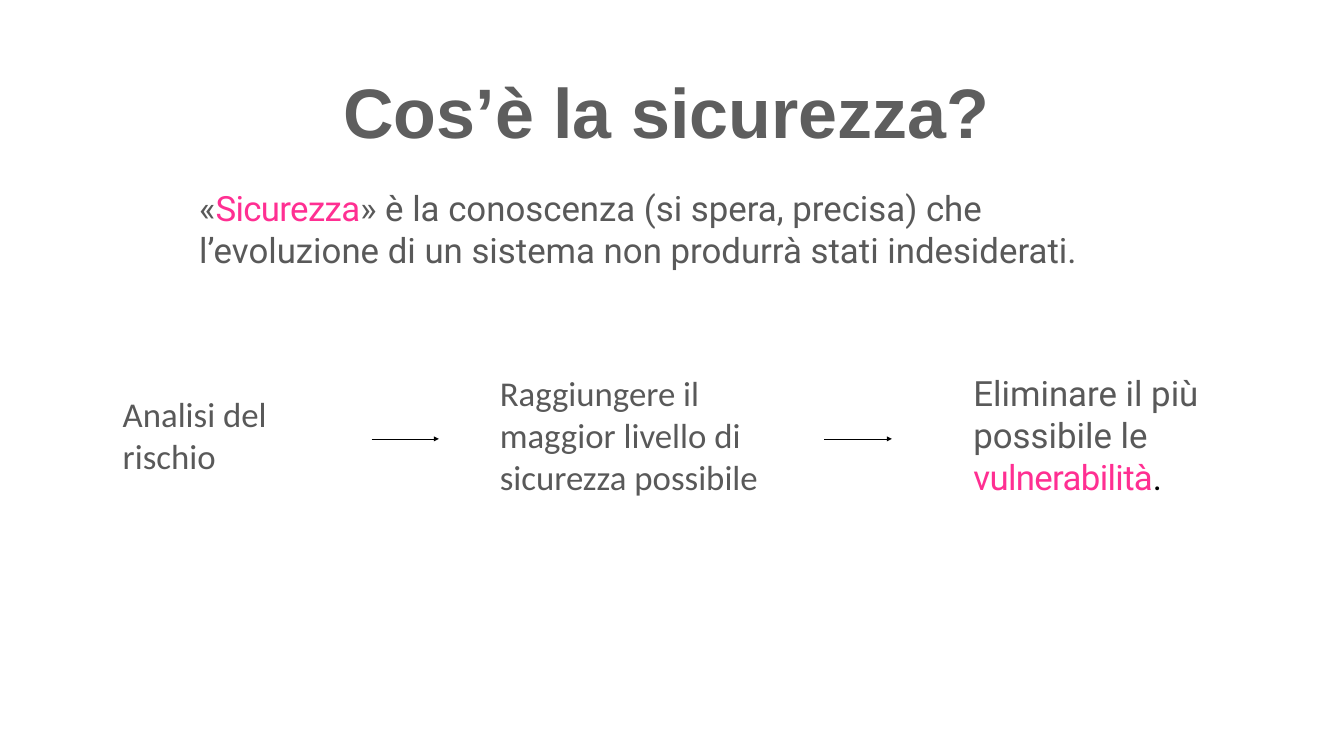
import pptx
import pptx.util
import pptx.dml.color
import pptx.enum.shapes
import pptx.enum.text
import pptx.oxml.ns
import lxml.etree

Cm = pptx.util.Cm
Pt = pptx.util.Pt
RGB = pptx.dml.color.RGBColor
DARK = RGB(0x5E, 0x5E, 0x5E)
GREY = RGB(0x59, 0x59, 0x59)
PINK = RGB(0xFF, 0x2F, 0x92)
BLACK = RGB(0, 0, 0)


def apply(item, values):
    for key, value in values.items():
        setattr(item, key, value)


class Deck:
    size = Pt(41)

    def __init__(self, width, height):
        self.file = pptx.Presentation()
        apply(self.file, {"slide_width": Cm(width), "slide_height": Cm(height)})
        self.slide = self.file.slides.add_slide(self.file.slide_layouts[5])

    def title(self, text, left, top, width, height):
        shape = self.slide.shapes.title
        apply(shape, {"left": Cm(left), "top": Cm(top),
                      "width": Cm(width), "height": Cm(height)})
        frame = shape.text_frame
        apply(frame, {"margin_left": 0, "margin_top": Cm(0.3),
                      "margin_right": 0, "margin_bottom": 0,
                      "word_wrap": True,
                      "auto_size": pptx.enum.text.MSO_AUTO_SIZE.NONE,
                      "vertical_anchor": pptx.enum.text.MSO_ANCHOR.TOP})
        line = frame.paragraphs[0]
        line.alignment = pptx.enum.text.PP_ALIGN.LEFT
        run = line.add_run()
        run.text = text
        apply(run.font, {"name": "Arial", "size": Pt(82.5), "bold": True})
        run.font.color.rgb = DARK

    def text(self, parts, font, left, top, width, height):
        box = self.slide.shapes.add_textbox(Cm(left), Cm(top), Cm(width), Cm(height))
        apply(box.text_frame, {
            "word_wrap": True,
            "auto_size": pptx.enum.text.MSO_AUTO_SIZE.SHAPE_TO_FIT_TEXT})
        line = box.text_frame.paragraphs[0]
        for words, color in parts:
            run = line.add_run()
            run.text = words
            apply(run.font, {"name": font, "size": self.size})
            run.font.color.rgb = color
            if color == PINK:
                run._r.get_or_add_rPr().set("spc", "-80")

    def arrow(self, start, end, level):
        link = self.slide.shapes.add_connector(
            pptx.enum.shapes.MSO_CONNECTOR.STRAIGHT,
            Cm(start), Cm(level), Cm(end), Cm(level))
        link.line.width = Pt(0.75)
        link.line.color.rgb = BLACK
        qn = pptx.oxml.ns.qn
        tip = lxml.etree.SubElement(link.line._get_or_add_ln(), qn("a:tailEnd"))
        tip.set("type", "triangle")
        lxml.etree.SubElement(link._element.spPr, qn("a:effectLst"))

    def save(self):
        self.file.save("out.pptx")


def main():
    deck = Deck(55.85, 31.42)
    deck.title("Cos’è la sicurezza?", 14.27, 2.54, 27.3, 5.1)
    deck.text([("«", GREY), ("Sicurezza", PINK),
               ("» è la conoscenza (si spera, precisa) che l’evoluzione di un "
                "sistema non produrrà stati indesiderati.", GREY)],
              "Roboto", 8.03, 7.65, 39.8, 3.76)
    deck.text([("Analisi del rischio", GREY)], "Calibri", 4.85, 16.2, 7.62, 3.76)
    deck.text([("Raggiungere il maggior livello di sicurezza possibile", GREY)],
              "Calibri", 20.52, 15.34, 12.7, 5.51)
    deck.text([("Eliminare il più possibile le ", GREY), ("vulnerabilità", PINK),
               (".", BLACK)], "Roboto", 40.2, 15.34, 11.86, 5.51)
    for start in (15.44, 34.26):
        deck.arrow(start, start + 2.8, 18.24)
    deck.save()


if __name__ == "__main__":
    main()
